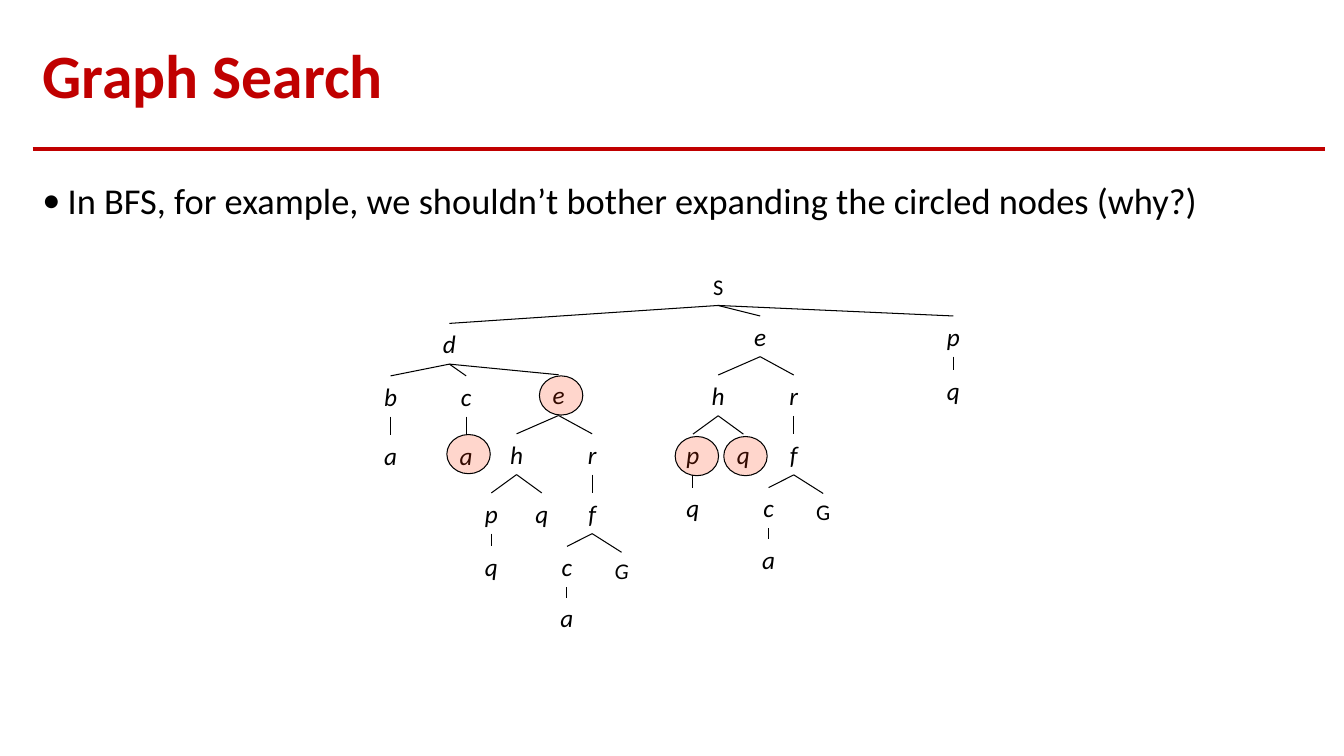
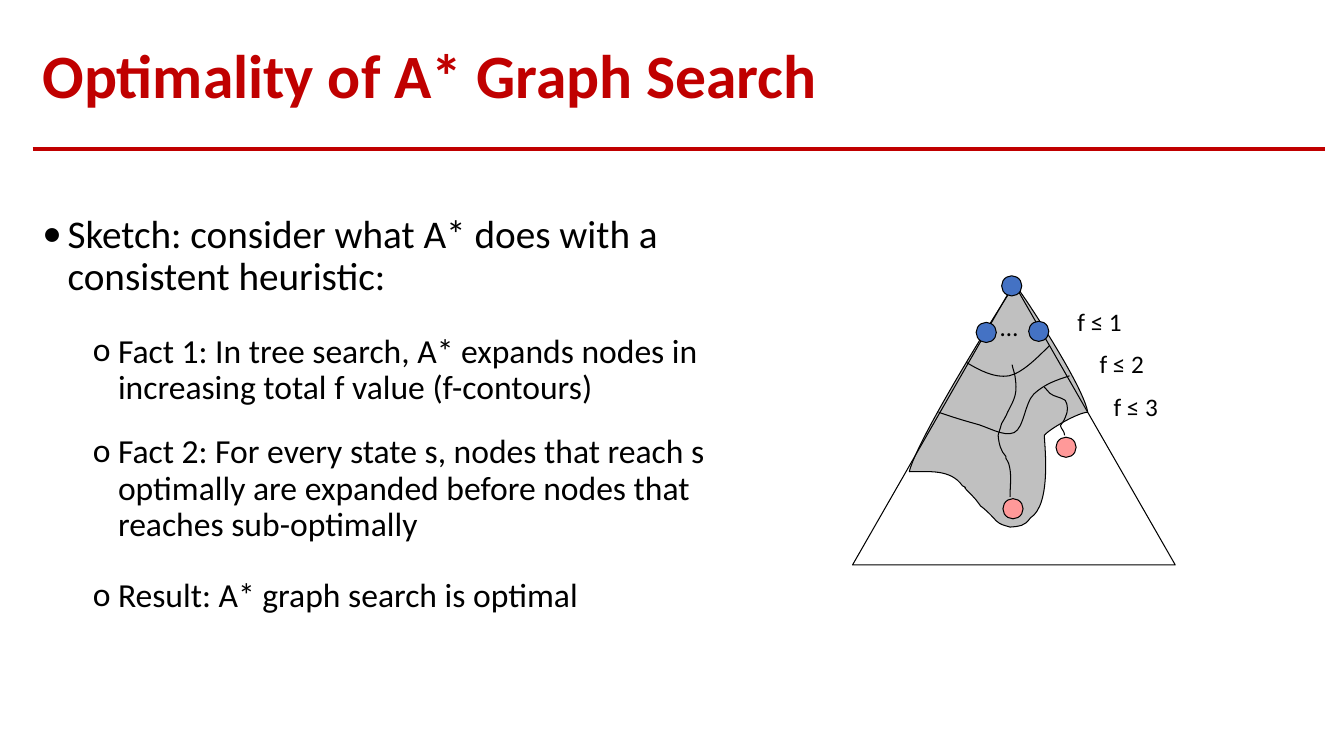
"""Build two lecture slides on graph search and the optimality of A*."""
from collections import namedtuple

from lxml.etree import SubElement
from pptx import Presentation
from pptx.dml.color import RGBColor
from pptx.enum.shapes import MSO_CONNECTOR as Connector, MSO_SHAPE as Preset
from pptx.enum.text import MSO_ANCHOR as Anchor, MSO_AUTO_SIZE as AutoSize, PP_ALIGN as Align
from pptx.oxml.ns import qn
from pptx.util import Pt

FONT = "Calibri"
COLORS = {
    "accent": "C00000",
    "ink": "000000",
    "circled": "FF3300",
    "expanded": "C0C0C0",
    "start": "4472C4",
    "goal": "FF9999",
}
LEFT, WIDTH = 23.25, 923
NODE_WIDTH = 30

Node = namedtuple("Node", "label dx dy children size italic", defaults=((), 18, True))
Bullet = namedtuple("Bullet", "text level before", defaults=(0, 0))
Level = namedtuple("Level", "mark indent")
LEVELS = (Level("•", 18), Level("o", 54))


def color(name):
    return RGBColor.from_string(COLORS[name])


def add_run(paragraph, text, size, ink="ink", bold=False, italic=False):
    run = paragraph.add_run()
    run.text = text
    font = run.font
    font.name, font.size = FONT, Pt(size)
    font.bold, font.italic = bold, italic
    font.color.rgb = color(ink)


def add_frame(slide, left, top, width, height):
    frame = slide.shapes.add_textbox(Pt(left), Pt(top), Pt(width), Pt(height)).text_frame
    frame.word_wrap = True
    frame.auto_size = AutoSize.NONE
    return frame


def add_label(slide, text, left, top, width, size=18, italic=False, align=Align.LEFT):
    paragraph = add_frame(slide, left, top, width, 29).paragraphs[0]
    paragraph.alignment = align
    add_run(paragraph, text, size, italic=italic)


def add_line(slide, start, end, ink="ink", weight=0.75):
    ends = [Pt(value) for value in (*start, *end)]
    line = slide.shapes.add_connector(Connector.STRAIGHT, *ends)
    line.line.color.rgb = color(ink)
    line.line.width = Pt(weight)
    SubElement(line._element.spPr, qn("a:effectLst"))


def style_shape(shape, fill=None, opacity=None):
    shape.shadow.inherit = False
    shape.line.color.rgb = color("ink")
    shape.line.width = Pt(0.75)
    if fill is None:
        shape.fill.background()
        return
    shape.fill.solid()
    shape.fill.fore_color.rgb = color(fill)
    if opacity is not None:
        tint = shape._element.spPr.find(qn("a:solidFill")).find(qn("a:srgbClr"))
        SubElement(tint, qn("a:alpha"), val=str(opacity * 1000))


def add_preset(slide, preset, left, top, width, height, fill=None, opacity=None):
    shape = slide.shapes.add_shape(preset, Pt(left), Pt(top), Pt(width), Pt(height))
    style_shape(shape, fill, opacity)


def add_curve(slide, knots, fill=None):
    start, *rest = [(Pt(x), Pt(y)) for x, y in knots]
    outline = slide.shapes.build_freeform(*start)
    outline.add_line_segments(rest, close=fill is not None)
    shape = outline.convert_to_shape()
    segments = list(shape._element.iter(qn("a:lnTo")))
    for index in range(0, len(segments), 3):
        first, *others = segments[index:index + 3]
        bezier = first.makeelement(qn("a:cubicBezTo"))
        first.addprevious(bezier)
        for segment in (first, *others):
            bezier.append(segment[0])
            segment.getparent().remove(segment)
    style_shape(shape, fill)


def add_titled_slide(deck, title):
    slide = deck.slides.add_slide(deck.slide_layouts[6])
    add_line(slide, (LEFT, 106.4), (LEFT + WIDTH, 106.4), "accent", 2.5)
    frame = add_frame(slide, LEFT, 20, WIDTH, 72)
    frame.vertical_anchor = Anchor.MIDDLE
    paragraph = frame.paragraphs[0]
    paragraph.line_spacing = 0.9
    add_run(paragraph, title, 44, "accent", bold=True)
    return slide


def set_level_sizes(frame, sizes):
    styles = frame._txBody.find(qn("a:lstStyle"))
    for number, size in enumerate(sizes, start=1):
        level = SubElement(styles, qn(f"a:lvl{number}pPr"))
        defaults = SubElement(level, qn("a:defRPr"), sz=str(size * 100))
        SubElement(defaults, qn("a:latin"), typeface=FONT)


def add_bullets(slide, top, width, height, sizes, bullets):
    frame = add_frame(slide, LEFT, top, width, height)
    set_level_sizes(frame, sizes)
    for index, bullet in enumerate(bullets):
        paragraph = frame.add_paragraph() if index else frame.paragraphs[0]
        level, size = LEVELS[bullet.level], sizes[bullet.level]
        properties = paragraph._p.get_or_add_pPr()
        properties.set("marL", str(Pt(level.indent)))
        properties.set("indent", str(-Pt(18)))
        SubElement(properties, qn("a:buFont"), typeface=FONT)
        SubElement(properties, qn("a:buChar"), char=level.mark)
        paragraph.level = bullet.level
        paragraph.line_spacing = 0.9
        if index:
            paragraph.space_before = Pt(bullet.before)
        paragraph.font.size = Pt(size)
        add_run(paragraph, bullet.text, size)


def add_tree(slide, node, x, top):
    add_label(slide, node.label, x - NODE_WIDTH / 2, top, NODE_WIDTH,
              node.size, node.italic, Align.CENTER)
    bottom = top + (29.1 if node.size == 18 else 26.7)
    for child in node.children:
        child_x, child_top = x + child.dx, top + child.dy
        add_line(slide, (x, bottom), (child_x, child_top))
        add_tree(slide, child, child_x, child_top)


def e_branch(dx, dy, goal_italic):
    goal = Node("G", 21, 42.4, size=16, italic=goal_italic)
    c = Node("c", -18, 38.2, (Node("a", 0, 36.7),))
    r = Node("r", 24, 42.2, (Node("f", 0, 42.2, (c, goal)),))
    p = Node("p", -18, 42.2, (Node("q", 0, 38.2),))
    h = Node("h", -30, 42.2, (p, Node("q", 18, 42.2)))
    return Node("e", dx, dy, (h, r))


def search_tree():
    b = Node("b", -42, 37.5, (Node("a", 0, 42.4),))
    c = Node("c", 12, 37.5, (Node("a", 0, 42.4),))
    d = Node("d", -192, 39.5, (b, c, e_branch(78, 36.7, True)))
    p = Node("p", 168, 34.2, (Node("q", 0, 38.5),))
    return Node("S", 0, 0, (d, e_branch(30, 34.2, False), p), 16, False)


def build_graph_search(deck):
    slide = add_titled_slide(deck, "Graph Search")
    add_bullets(slide, 127, WIDTH, 359, (26,), [
        Bullet("In BFS, for example, we shouldn’t bother expanding the circled nodes (why?)"),
    ])
    add_tree(slide, search_tree(), 513, 191.5)
    for left, top in ((385.3, 268.5), (482.3, 311.8), (319.2, 310.4), (517, 311.8)):
        add_preset(slide, Preset.OVAL, left, top, 31, 28, "circled", 20)


def add_contour_sketch(slide):
    expanded_region = [
        (729.5, 209.5), (739, 223), (774, 277), (777, 294.5),
        (770.5, 294.5), (749.5, 306.5), (746, 311),
        (746, 317), (751.5, 360.5), (736, 370),
        (732, 376), (728, 376), (721.5, 376.5),
        (716.5, 375), (715, 375), (711.5, 372),
        (709, 369), (704, 364), (700.5, 361.5),
        (696, 355.5), (698.5, 358.5), (693.5, 353),
        (684, 344), (693.5, 350.5), (687.5, 347),
        (679, 335), (664, 337), (649.5, 337),
        (655, 314.5), (707, 231), (720.5, 210),
        (733.5, 188.5), (727, 209.5), (729.5, 209.5),
    ]
    optimal_route = [
        (723, 260.5), (723.5, 263.5), (724.5, 265.5), (725, 268.5),
        (727, 281), (725, 284.5), (720, 294),
        (718.5, 297.5), (717, 300), (715.5, 302.5),
        (714, 307.5), (715.5, 303), (714, 307.5),
        (713.5, 309), (713, 311), (713, 311),
        (713.5, 317), (715, 322.5), (718.5, 326),
        (718.5, 327), (718.5, 328.5), (719.5, 329),
        (719.5, 330), (720, 330.5), (720.5, 331),
        (723, 339), (721.5, 346.5), (721.5, 355),
    ]
    suboptimal_route = [
        (746, 276.5), (747.5, 278), (748.5, 279.5), (750, 281),
        (753, 283.5), (757.5, 283.5), (761, 286),
        (763, 289.5), (763, 294), (761, 298),
        (760.5, 300), (757.5, 304), (757.5, 304),
        (758, 306.5), (760.5, 308), (760.5, 311),
    ]
    second_contour = [
        (764, 268.5), (754.5, 271.5), (746, 274.5), (738.5, 281.5),
        (732, 288), (731.5, 305.5), (724.5, 309),
        (717, 312.5), (705, 304.5), (696, 302.5),
        (687, 300), (679, 297.5), (670.5, 294.5),
    ]
    first_contour = [
        (749.5, 247), (740, 256.5), (730, 266.5), (720.5, 268.5),
        (710.5, 270), (700.5, 265), (690.5, 259),
    ]
    add_curve(slide, expanded_region, "expanded")
    add_preset(slide, Preset.ISOSCELES_TRIANGLE, 609, 202.5, 230.5, 201)
    for route in (optimal_route, suboptimal_route, second_contour, first_contour):
        add_curve(slide, route)
    for left, top, role in (
        (697.3, 230.3, "start"), (734.8, 229.5, "start"), (715.5, 197, "start"),
        (754.3, 312.3, "goal"), (716.4, 356.2, "goal"),
    ):
        add_preset(slide, Preset.OVAL, left, top, 14.4, 14.4, role)
    for text, left, top, width in (
        ("…", 707.5, 219, 30),
        ("f ≤ 1", 762.5, 215.5, 65),
        ("f ≤ 2", 778.3, 245, 65),
        ("f ≤ 3", 788.3, 276.2, 65),
    ):
        add_label(slide, text, left, top, width)


def build_optimality(deck):
    slide = add_titled_slide(deck, "Optimality of A* Graph Search")
    add_bullets(slide, 149.8, 535, 348, (28, 24), [
        Bullet("Sketch: consider what A* does with a consistent heuristic:"),
        Bullet("Fact 1: In tree search, A* expands nodes in increasing total f value "
               "(f-contours)", 1, 25),
        Bullet("Fact 2: For every state s, nodes that reach s optimally are expanded "
               "before nodes that reaches sub-optimally", 1, 20),
        Bullet("Result: A* graph search is optimal", 1, 25),
    ])
    add_contour_sketch(slide)


def main():
    deck = Presentation()
    deck.slide_width, deck.slide_height = Pt(960), Pt(540)
    build_graph_search(deck)
    build_optimality(deck)
    deck.save("out.pptx")


if __name__ == "__main__":
    main()
